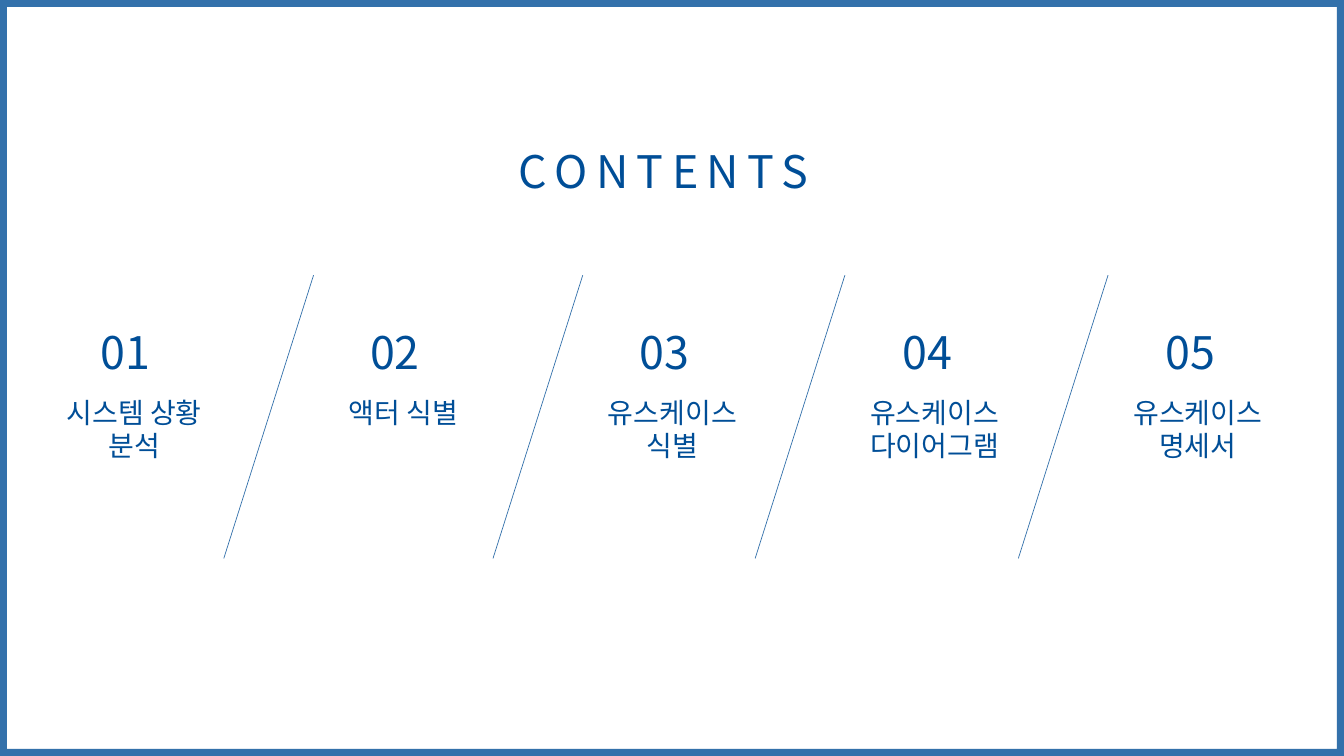
"""Build a contents slide with five numbered sections divided by slanted lines."""
from lxml import etree
from pptx import Presentation
from pptx.dml.color import RGBColor
from pptx.enum.shapes import MSO_CONNECTOR as CONN, MSO_SHAPE as SHAPE
from pptx.enum.text import MSO_ANCHOR as ANCHOR, MSO_AUTO_SIZE as AUTO, PP_ALIGN as ALIGN
from pptx.oxml.ns import qn
from pptx.util import Inches, Pt

BLUE = RGBColor(0x00, 0x4E, 0x97)
FONT = "Noto Sans CJK KR"
SECTIONS = [
    (0.44, 1.78, ["시스템 상황", "분석"]),
    (3.11, 1.78, ["액터 식별"]),
    (5.45, 2.44, ["유스케이스", "식별"]),
    (8.38, 1.78, ["유스케이스", "다이어그램"]),
    (10.99, 1.78, ["유스케이스", "명세서"]),
]
NUMBER_LEFTS = [1, 3.67, 6.34, 8.95, 11.56]
DIVIDER_TOPS = [3.11, 5.78, 8.38, 10.99]


def write(sp, lines, size, align):
    tf = sp.text_frame
    tf.word_wrap = True
    tf.auto_size = AUTO.SHAPE_TO_FIT_TEXT
    tf.vertical_anchor = ANCHOR.TOP
    tf.margin_left = tf.margin_top = tf.margin_right = tf.margin_bottom = 0
    for i, line in enumerate(lines):
        p = tf.add_paragraph() if i else tf.paragraphs[0]
        p.alignment = align
        p.space_before = Pt(0)
        p.line_spacing = 1.0
        r = p.add_run()
        r.text = line
        r.font.size = Pt(size)
        r.font.color.rgb = BLUE
        r.font.name = FONT
        etree.SubElement(r.font._element, qn("a:ea"), typeface=FONT)


def style_line(sp, width):
    sp.line.color.rgb = BLUE
    sp.line.width = Pt(width)
    color = sp.line._ln.find(".//" + qn("a:srgbClr"))
    etree.SubElement(color, qn("a:alpha"), val="80000")


prs = Presentation()
prs.slide_width, prs.slide_height = Inches(13.33), Inches(7.5)
s = prs.slides.add_slide(prs.slide_layouts[5])

title = s.shapes.title
title.left, title.top = Inches(1.21), Inches(1.43)
title.width, title.height = Inches(10.74), Inches(0.54)
write(title, ["CONTENTS"], 32, ALIGN.CENTER)
title.text_frame.paragraphs[0].runs[0].font._element.set("spc", "600")

for i, (left, width, lines) in enumerate(SECTIONS):
    number = s.shapes.add_textbox(Inches(NUMBER_LEFTS[i]), Inches(3.22), Inches(1.22), Inches(0.54))
    write(number, [f"{i + 1:02}"], 32, ALIGN.LEFT)
    label = s.shapes.add_textbox(Inches(left), Inches(3.92), Inches(width), Inches(0.335 * len(lines)))
    write(label, lines, 20, ALIGN.CENTER)

for x in DIVIDER_TOPS:
    divider = s.shapes.add_connector(CONN.STRAIGHT, Inches(x), Inches(2.73), Inches(x - 0.89), Inches(5.54))
    style_line(divider, 0.5)
    etree.SubElement(divider._element.spPr, qn("a:effectLst"))

frame = s.shapes.add_shape(SHAPE.RECTANGLE, 0, 0, prs.slide_width, prs.slide_height)
frame.shadow.inherit = False
frame.fill.background()
style_line(frame, 10)

prs.save("out.pptx")
